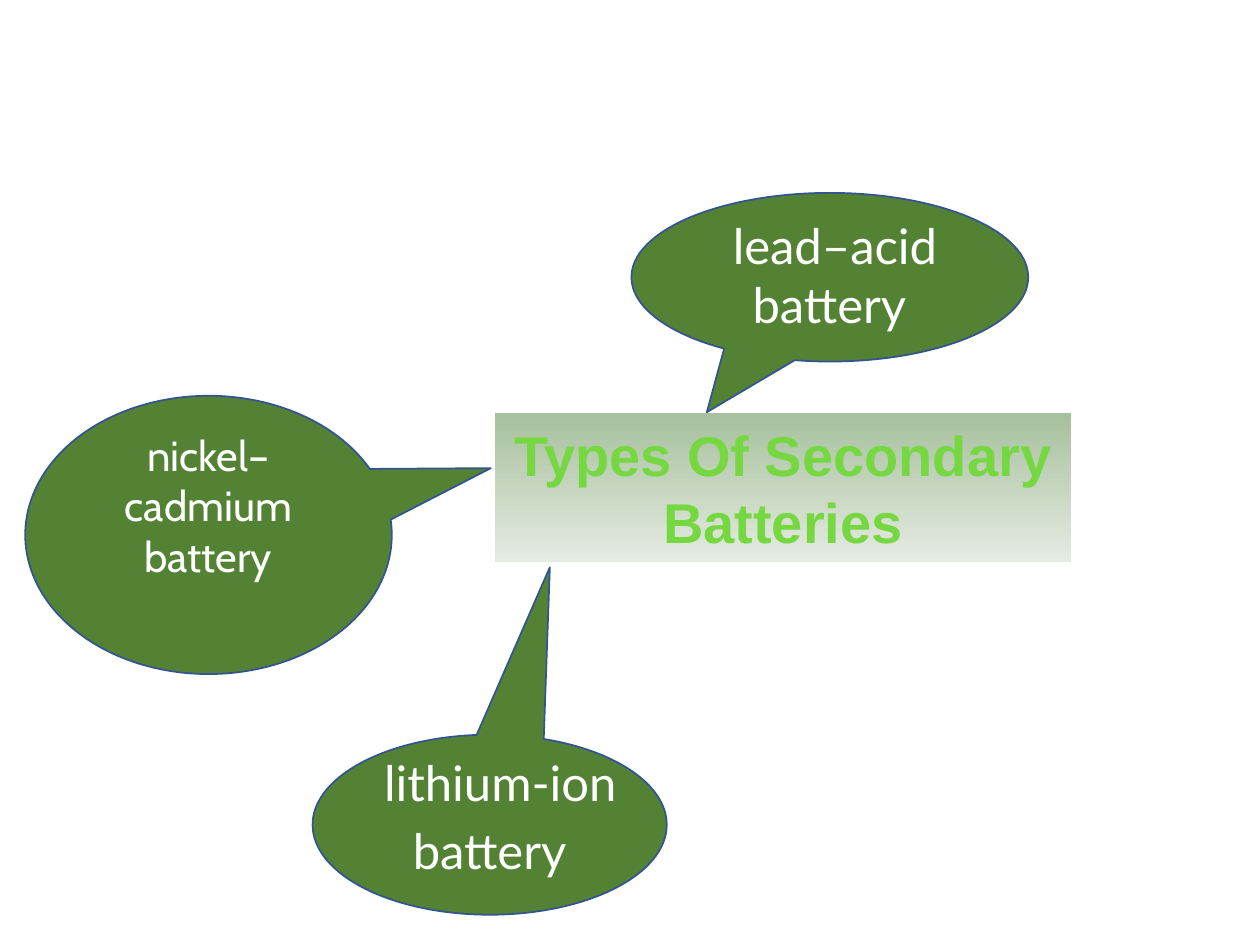
from pptx import Presentation
from pptx.dml.color import RGBColor
from pptx.enum.shapes import MSO_SHAPE
from pptx.enum.text import MSO_ANCHOR, MSO_AUTO_SIZE, PP_ALIGN
from pptx.util import Cm, Pt

CALLOUT = MSO_SHAPE.OVAL_CALLOUT
CENTER = PP_ALIGN.CENTER
MIDDLE = MSO_ANCHOR.MIDDLE
NO_FIT = MSO_AUTO_SIZE.NONE
GROW = MSO_AUTO_SIZE.SHAPE_TO_FIT_TEXT
TITLE_ONLY = 5


def color(value):
    return RGBColor.from_string(value)


def lengths(box):
    return [Cm(value) for value in box]


class BatterySlide:
    title_color = "75D840"
    title_gradient = ("A7C09D", "E5EBE2")
    bubble_fill = "548235"
    bubble_line = "325491"
    label_color = "FFFFFF"

    def __init__(self, presentation):
        layout = presentation.slide_layouts[TITLE_ONLY]
        self.slide = presentation.slides.add_slide(layout)

    def title(self, text, box):
        title = self.slide.shapes.title
        title.left, title.top, title.width, title.height = lengths(box)
        title.fill.gradient()
        title.fill.gradient_angle = 270
        for stop, shade in zip(title.fill.gradient_stops, self.title_gradient):
            stop.color.rgb = color(shade)
        frame = title.text_frame
        frame.text = text
        frame.word_wrap = True
        frame.auto_size = NO_FIT
        frame.vertical_anchor = MIDDLE
        heading = frame.paragraphs[0]
        heading.alignment = CENTER
        heading.font.name = "Arial"
        heading.font.size = Pt(32)
        heading.font.bold = True
        heading.font.color.rgb = color(self.title_color)

    def bubble(self, box, pointer, rotation=0):
        bubble = self.slide.shapes.add_shape(CALLOUT, *lengths(box))
        bubble.rotation = rotation
        bubble.adjustments[0], bubble.adjustments[1] = pointer
        bubble.shadow.inherit = False
        bubble.fill.solid()
        bubble.fill.fore_color.rgb = color(self.bubble_fill)
        bubble.line.color.rgb = color(self.bubble_line)
        bubble.line.width = Pt(1)

    def label(self, box, runs):
        frame = self.slide.shapes.add_textbox(*lengths(box)).text_frame
        frame.word_wrap = True
        frame.auto_size = GROW
        paragraph = frame.paragraphs[0]
        paragraph.alignment = CENTER
        paragraph.font.color.rgb = color(self.label_color)
        for text, font, size in runs:
            run = paragraph.add_run()
            run.text = text
            run.font.name = font
            run.font.size = Pt(size)
            run.font.color.rgb = color(self.label_color)


def main():
    presentation = Presentation()
    presentation.slide_width = Cm(25.4)
    presentation.slide_height = Cm(19.05)
    batteries = BatterySlide(presentation)
    batteries.title("Types Of Secondary Batteries", (9.98, 8.33, 11.61, 3))

    batteries.bubble((12.73, 3.89, 8, 3.4), (-0.31, 0.8))
    batteries.label((14.22, 4.22, 5, 2.64),
                    [(" ", "Calibri", 28), ("lead–acid battery", "Lato", 28)])

    batteries.bubble((0.51, 7.98, 7.39, 5.61), (0.77, -0.24))
    batteries.label((1.85, 8.53, 4.7, 3.33),
                    [("nickel–cadmium battery", "Cabin", 24)])

    batteries.bubble((6.3, 14.81, 7.14, 3.63), (-0.17, 1.43), rotation=180)
    batteries.label((6.15, 14.12, 7.44, 3.76),
                    [(" ", "Calibri", 54), ("lithium-ion battery", "Lato", 28)])

    presentation.save("out.pptx")


if __name__ == "__main__":
    main()
